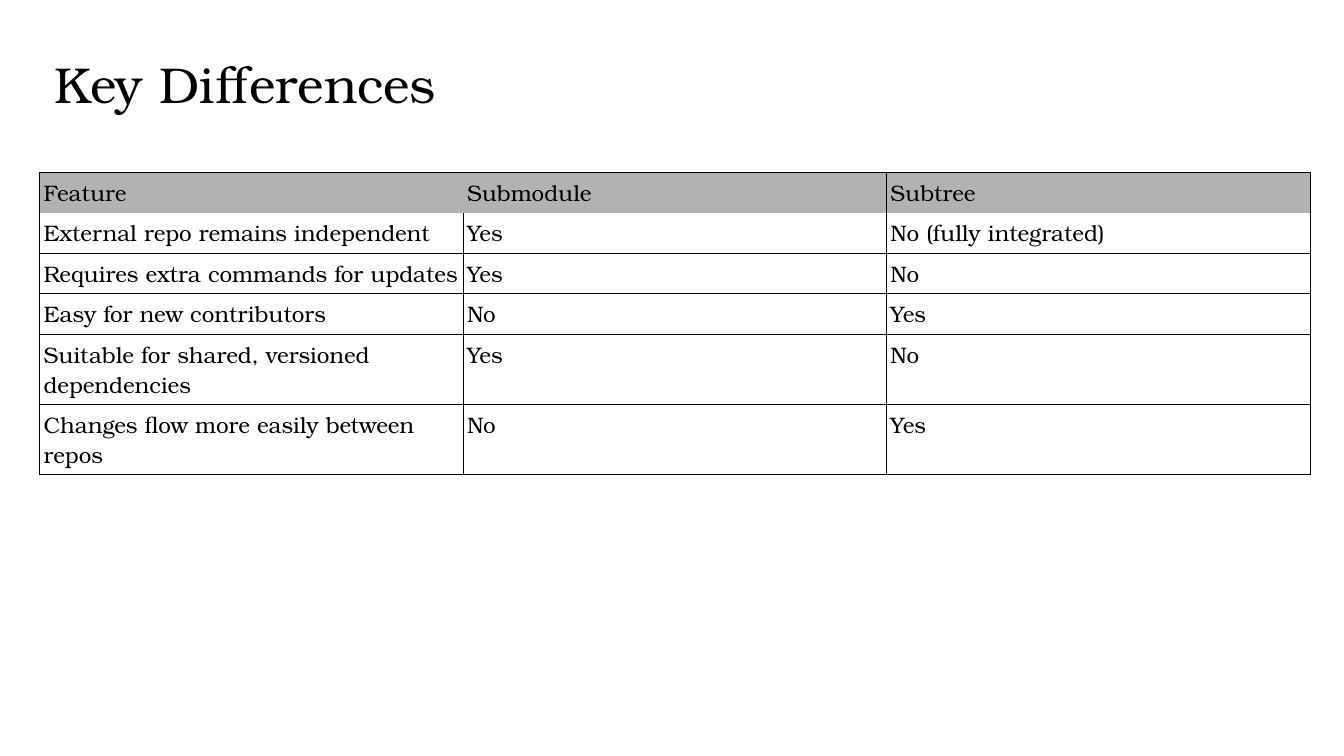
from lxml import etree
from pptx import Presentation
from pptx.dml.color import RGBColor
from pptx.enum.text import MSO_ANCHOR, PP_ALIGN
from pptx.oxml.ns import qn
from pptx.util import Cm, Pt

TOP, MIDDLE = MSO_ANCHOR.TOP, MSO_ANCHOR.MIDDLE
LEFT = PP_ALIGN.LEFT

TITLE = "Key Differences"
ROWS = [
    ("Feature", "Submodule", "Subtree"),
    ("External repo remains independent", "Yes", "No (fully integrated)"),
    ("Requires extra commands for updates", "Yes", "No"),
    ("Easy for new contributors", "No", "Yes"),
    ("Suitable for shared, versioned dependencies", "Yes", "No"),
    ("Changes flow more easily between repos", "No", "Yes"),
]
COLORS = {"ink": "000000", "head": "B2B2B2", "body": "FFFFFF"}
FONT = "TeX Gyre Bonum"
COL_W, ROW_H = 10.67, 1.02
LINE_W = Pt(0.57)


def write(para, text, size):
    para.alignment = LEFT
    run = para.add_run()
    run.text = text
    run.font.name = FONT
    run.font.size = Pt(size)
    run.font.bold = False
    run.font.color.rgb = RGBColor.from_string(COLORS["ink"])


def edge(cell, sides):
    """Draw the given sides of a cell and clear the others."""
    props = cell._tc.get_or_add_tcPr()
    for side in "LRTB":
        line = etree.SubElement(props, qn(f"a:ln{side}"), w=str(LINE_W))
        if side in sides:
            fill = etree.SubElement(line, qn("a:solidFill"))
            etree.SubElement(fill, qn("a:srgbClr"), val=COLORS["ink"])
        else:
            etree.SubElement(line, qn("a:noFill"))


def sides_of(row, col):
    """The header has no line below it, nor between its first two cells."""
    if row == 0:
        return ("LT", "TR", "LTR")[col]
    return "LRB" if row == 1 else "LRTB"


def add_title(slide):
    title = slide.shapes.title
    title.left, title.top = Cm(1.12), Cm(1.22)
    title.width, title.height = Cm(31.88), Cm(1.78)
    frame = title.text_frame
    frame.vertical_anchor = MIDDLE
    write(frame.paragraphs[0], TITLE, 36)


def add_grid(slide):
    count, cols = len(ROWS), len(ROWS[0])
    grid = slide.shapes.add_table(
        count, cols, Cm(1), Cm(4.34), Cm(COL_W * cols), Cm(ROW_H * count)
    ).table
    for r, row in enumerate(ROWS):
        for c, text in enumerate(row):
            cell = grid.cell(r, c)
            cell.margin_left = cell.margin_right = Cm(0.1)
            cell.margin_top = cell.margin_bottom = Cm(0.13)
            cell.vertical_anchor = TOP
            edge(cell, sides_of(r, c))
            cell.fill.solid()
            tone = COLORS["body" if r else "head"]
            cell.fill.fore_color.rgb = RGBColor.from_string(tone)
            write(cell.text_frame.paragraphs[0], text, 16)


def main():
    deck = Presentation()
    deck.slide_width, deck.slide_height = Cm(33.87), Cm(19.05)
    slide = deck.slides.add_slide(deck.slide_layouts[5])
    add_grid(slide)
    add_title(slide)
    deck.save("out.pptx")


if __name__ == "__main__":
    main()
